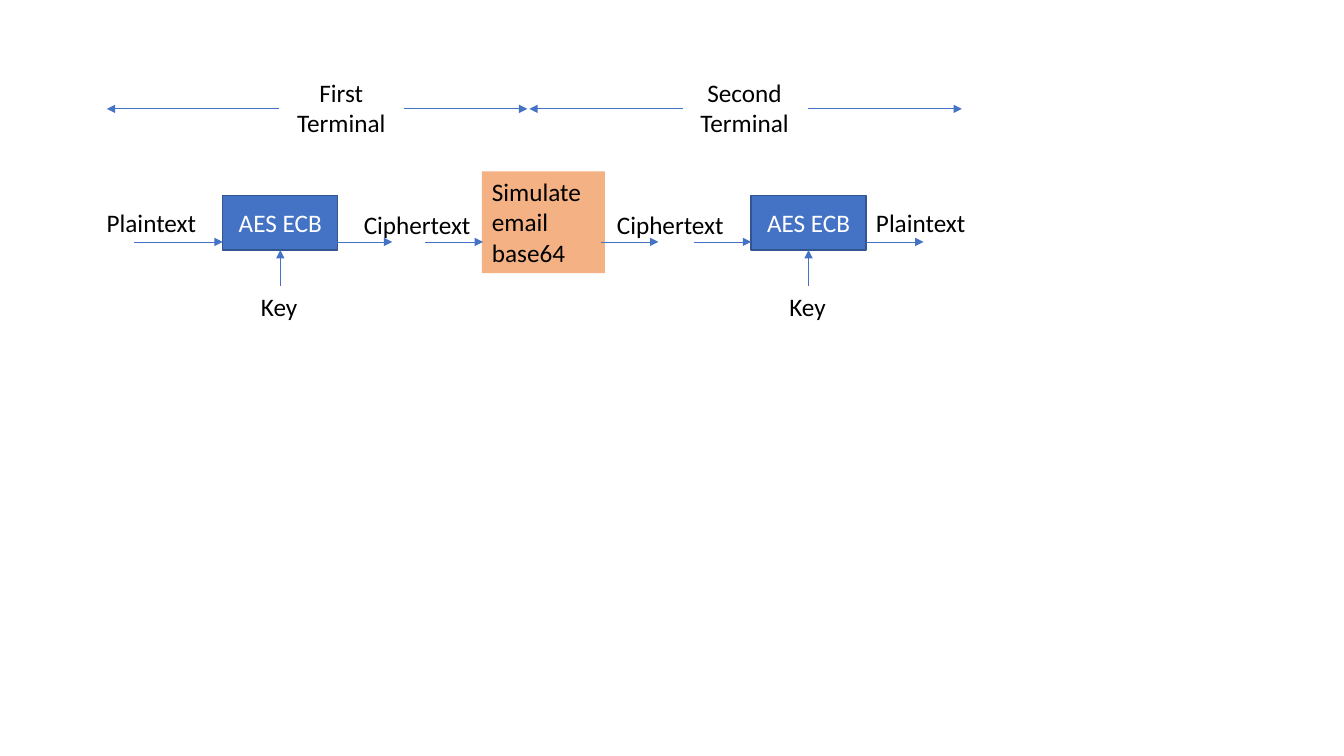
from dataclasses import dataclass

from pptx import Presentation
from pptx.dml.color import RGBColor
from pptx.enum.shapes import MSO_CONNECTOR, MSO_SHAPE
from pptx.enum.text import MSO_ANCHOR, PP_ALIGN
from pptx.oxml.ns import qn
from pptx.slide import Slide
from pptx.util import Inches, Pt
from lxml.etree import SubElement


@dataclass(frozen=True)
class Theme:
    font: str = "Calibri"
    size: float = 18
    blue: str = "4472C4"
    border: str = "325491"
    orange: str = "F4B183"
    black: str = "000000"
    white: str = "FFFFFF"
    box_line: float = 1
    arrow_line: float = 0.5


@dataclass(frozen=True)
class Block:
    text: str
    left: float
    top: float
    width: float
    height: float
    fill: str | None = None
    line: str | None = None
    color: str = Theme.black
    align: PP_ALIGN = PP_ALIGN.LEFT
    anchor: MSO_ANCHOR = MSO_ANCHOR.TOP


@dataclass(frozen=True)
class Arrow:
    x1: float
    y1: float
    x2: float
    y2: float


THEME = Theme()
CENTER = PP_ALIGN.CENTER
AXIS_Y, FLOW_Y = 1.08, 2.4
CIPHER_TOP, KEY_TOP = 2.03, 2.84
BOX_TOP, BOX_W, BOX_H = 1.94, 1.14, 0.54


def write_text(tf, text: str, *, color: str, align: PP_ALIGN, anchor: MSO_ANCHOR) -> None:
    tf.word_wrap = True
    tf.vertical_anchor = anchor
    p = tf.paragraphs[0]
    p.alignment = align
    r = p.add_run()
    r.text = text
    r.font.name = THEME.font
    r.font.size = Pt(THEME.size)
    r.font.color.rgb = RGBColor.from_string(color)


def add_block(s: Slide, b: Block) -> None:
    frame = [Inches(v) for v in (b.left, b.top, b.width, b.height)]
    if b.fill:
        sp = s.shapes.add_shape(MSO_SHAPE.RECTANGLE, *frame)
        sp.shadow.inherit = False
        sp.fill.solid()
        sp.fill.fore_color.rgb = RGBColor.from_string(b.fill)
        if b.line:
            sp.line.color.rgb = RGBColor.from_string(b.line)
            sp.line.width = Pt(THEME.box_line)
        else:
            sp.line.fill.background()
    else:
        sp = s.shapes.add_textbox(*frame)
    write_text(sp.text_frame, b.text, color=b.color, align=b.align, anchor=b.anchor)


def add_arrow(s: Slide, a: Arrow) -> None:
    ends = [Inches(v) for v in (a.x1, a.y1, a.x2, a.y2)]
    cxn = s.shapes.add_connector(MSO_CONNECTOR.STRAIGHT, *ends)
    cxn.line.color.rgb = RGBColor.from_string(THEME.blue)
    cxn.line.width = Pt(THEME.arrow_line)
    SubElement(cxn.line._get_or_add_ln(), qn("a:tailEnd"), type="triangle")
    SubElement(cxn._element.spPr, qn("a:effectLst"))


def cipher_box(left: float) -> Block:
    return Block("AES ECB", left, BOX_TOP, BOX_W, BOX_H, fill=THEME.blue, line=THEME.border,
                 color=THEME.white, align=CENTER, anchor=MSO_ANCHOR.MIDDLE)


def main() -> None:
    prs = Presentation()
    prs.slide_width, prs.slide_height = Inches(13.33), Inches(7.5)
    s = prs.slides.add_slide(prs.slide_layouts[6])

    box_lefts = (2.21, 7.45)
    blocks = [cipher_box(x) for x in box_lefts]
    blocks += [Block("Plaintext", x, 2.01, 1.23, 0.4) for x in (0.96, 8.59)]
    blocks += [Block("Ciphertext", x, CIPHER_TOP, 1.36, 0.4) for x in (3.51, 6.02)]
    blocks += [Block("Key", x + 0.28, KEY_TOP, 0.57, 0.4) for x in box_lefts]
    blocks += [Block(f"{name} Terminal", x, 0.72, 1.23, 0.71, align=CENTER)
               for name, x in (("First", 2.77), ("Second", 6.77))]
    blocks.append(Block("Simulate email base64", 4.78, 1.7, 1.22, 1.01, fill=THEME.orange))

    spans = ((2.77, 1.06), (4.01, 5.23), (6.77, 5.25), (8.01, 9.54))
    flows = ((1.33, 2.21), (3.32, 3.89), (4.22, 4.79), (5.96, 6.53), (6.88, 7.45), (8.59, 9.16))
    arrows = [Arrow(x1, AXIS_Y, x2, AXIS_Y) for x1, x2 in spans]
    arrows += [Arrow(x1, FLOW_Y, x2, FLOW_Y) for x1, x2 in flows]
    arrows += [Arrow(x + BOX_W / 2, KEY_TOP, x + BOX_W / 2, BOX_TOP + BOX_H) for x in box_lefts]

    for b in blocks:
        add_block(s, b)
    for a in arrows:
        add_arrow(s, a)
    prs.save("out.pptx")


if __name__ == "__main__":
    main()
